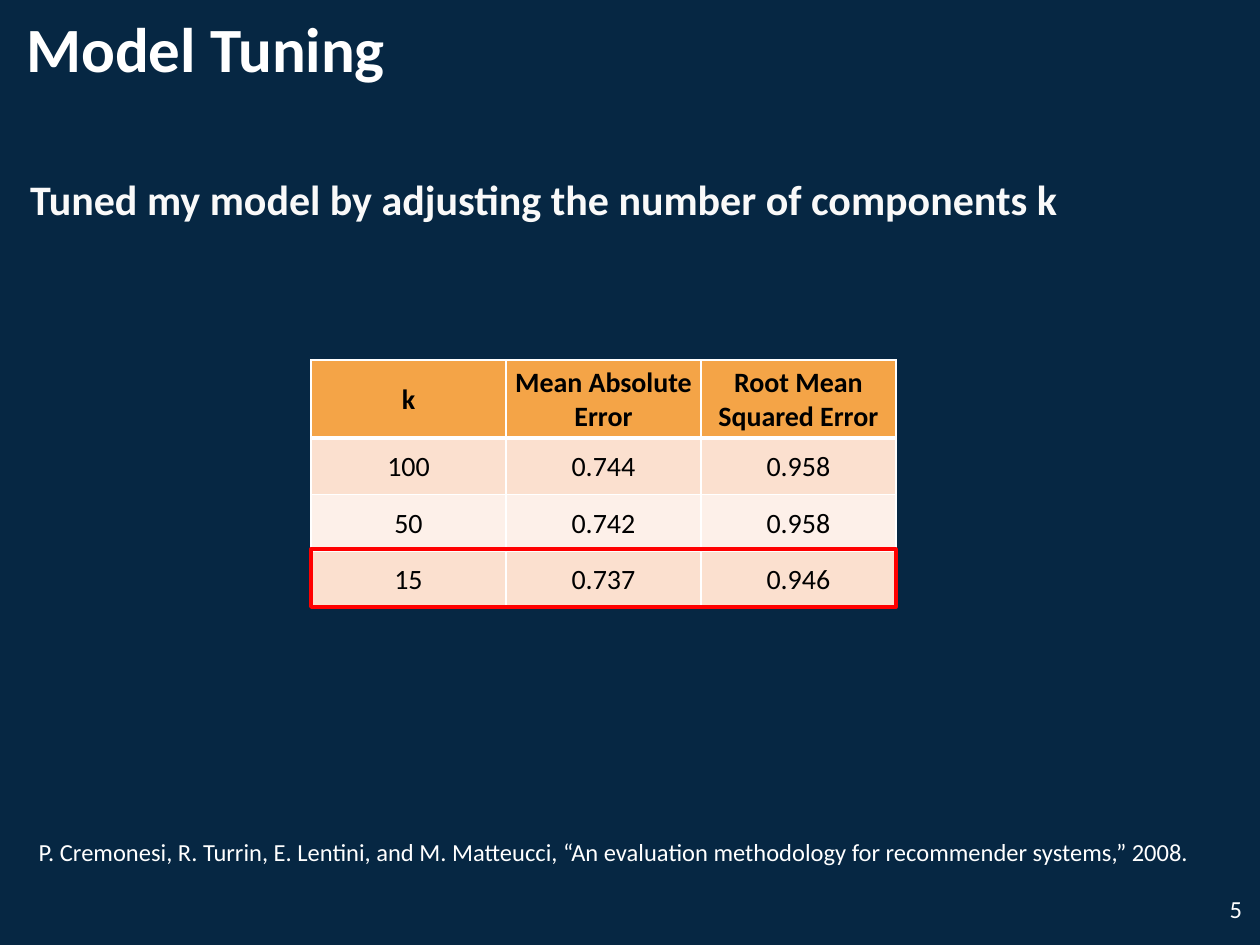
from dataclasses import dataclass

from lxml.etree import SubElement
from pptx import Presentation
from pptx.dml.color import RGBColor
from pptx.enum.shapes import MSO_SHAPE
from pptx.enum.text import MSO_ANCHOR, PP_ALIGN
from pptx.oxml.ns import qn
from pptx.util import Cm, Pt


@dataclass(frozen=True)
class Theme:
    font: str = "Calibri"
    background: str = "062743"
    white: str = "FFFFFF"
    subtitle: str = "F9F9F9"
    ink: str = "000000"
    header: str = "F4A447"
    odd_row: str = "FBE0CF"
    even_row: str = "FDF0E9"
    highlight: str = "FF0000"
    title_size: int = 36
    subtitle_size: int = 24
    table_size: int = 16
    small_size: int = 14


theme = Theme()


def write(frame, text, size, color, bold=False, align=PP_ALIGN.LEFT):
    frame.word_wrap = True
    para = frame.paragraphs[0]
    para.text = text
    para.alignment = align
    para.font.name = theme.font
    para.font.size = Pt(size)
    para.font.bold = bold
    para.font.color.rgb = RGBColor.from_string(color)


def add_border(cell, side, width):
    line = SubElement(cell._tc.get_or_add_tcPr(), qn(f"a:{side}"), w=str(Pt(width)))
    fill = SubElement(line, qn("a:solidFill"))
    SubElement(fill, qn("a:srgbClr"), val=theme.white)


deck = Presentation()
deck.slide_width = Cm(25.4)
deck.slide_height = Cm(19.05)
page = deck.slides.add_slide(deck.slide_layouts[6])
page.background.fill.solid()
page.background.fill.fore_color.rgb = RGBColor.from_string(theme.background)

headings = [
    ("Model Tuning", (0.53, 0.2, 24.28, 1.55), theme.title_size, theme.white),
    ("Tuned my model by adjusting the number of components k",
     (0.61, 3.5, 22.5, 2.06), theme.subtitle_size, theme.subtitle),
]
for text, place, size, color in headings:
    frame = page.shapes.add_textbox(*map(Cm, place)).text_frame
    frame.margin_left = frame.margin_right = 0
    frame.margin_top = frame.margin_bottom = 0
    write(frame, text, size, color, bold=True)

number = page.shapes.add_textbox(Cm(23.77), Cm(17.6), Cm(1.52), Cm(1.45)).text_frame
number.margin_left = number.margin_right = Cm(0.25)
number.margin_top = number.margin_bottom = Cm(0.25)
number.vertical_anchor = MSO_ANCHOR.MIDDLE
write(number, "5", theme.small_size, theme.white, align=PP_ALIGN.RIGHT)

results = [
    ("k", "Mean Absolute Error", "Root Mean Squared Error"),
    ("100", "0.744", "0.958"),
    ("50", "0.742", "0.958"),
    ("15", "0.737", "0.946"),
]
row_fills = [theme.header, theme.odd_row, theme.even_row, theme.odd_row]
row_heights = [1.57, 1.14, 1.14, 1.14]
left, top, width = 6.27, 7.26, 11.79
table = page.shapes.add_table(
    4, 3, Cm(left), Cm(top), Cm(width), Cm(sum(row_heights))
).table
for column in table.columns:
    column.width = Cm(width / 3)
for row_index, values in enumerate(results):
    is_header = row_index == 0
    table.rows[row_index].height = Cm(row_heights[row_index])
    for column_index, value in enumerate(values):
        cell = table.cell(row_index, column_index)
        cell.margin_left = cell.margin_right = cell.margin_top = Cm(0.03)
        cell.margin_bottom = 0
        cell.vertical_anchor = MSO_ANCHOR.MIDDLE
        for side in ("lnL", "lnR", "lnT", "lnB"):
            thick = (row_index, side) in ((0, "lnB"), (1, "lnT"))
            add_border(cell, side, 3 if thick else 1)
        cell.fill.solid()
        cell.fill.fore_color.rgb = RGBColor.from_string(row_fills[row_index])
        write(cell.text_frame, value, theme.table_size, theme.ink,
              bold=is_header, align=PP_ALIGN.CENTER)

best_row = page.shapes.add_shape(
    MSO_SHAPE.RECTANGLE, Cm(left), Cm(11.07), Cm(width), Cm(1.17)
)
best_row.shadow.inherit = False
best_row.fill.background()
best_row.line.color.rgb = RGBColor.from_string(theme.highlight)
best_row.line.width = Pt(2)

citation = page.shapes.add_textbox(Cm(0.53), Cm(16.74), Cm(24), Cm(0.86)).text_frame
write(
    citation,
    "P. Cremonesi, R. Turrin, E. Lentini, and M. Matteucci, "
    "“An evaluation methodology for recommender systems,” 2008.",
    theme.small_size,
    theme.white,
)

deck.save("out.pptx")
